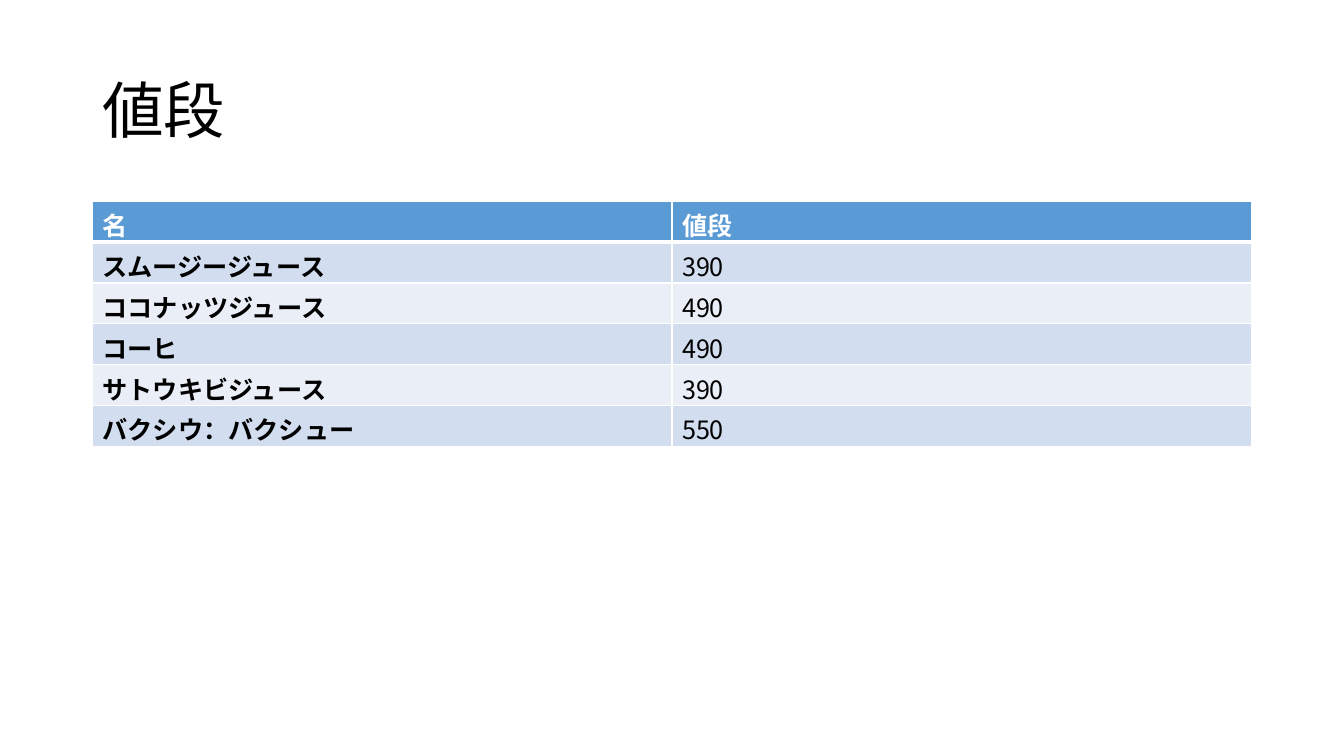
import pptx
import pptx.dml.color
import pptx.enum.text
import pptx.oxml
import pptx.oxml.ns
import pptx.util
from pptx.util import Pt

FONT = "Noto Sans CJK JP"
COLORS = {
    "black": "000000",
    "white": "FFFFFF",
    "header": "5B9BD5",
    "dark_band": "D2DEEF",
    "light_band": "EAEFF7",
}
PRICES = [
    ("名", "値段"),
    ("スムージージュース", "390"),
    ("ココナッツジュース", "490"),
    ("コーヒ", "490"),
    ("サトウキビジュース", "390"),
    ("バクシウ：バクシュー", "550"),
]
LEFT, WIDTH = 66, 828
ROW_HEIGHT = 29.2


def write(frame, text, size=18, color="black", bold=False, spacing=1.0):
    para = frame.paragraphs[0]
    para.line_spacing = spacing
    span = para.add_run()
    span.text = text
    span.font.size = Pt(size)
    span.font.bold = bold
    span.font.name = FONT
    span.font.color.rgb = pptx.dml.color.RGBColor.from_string(COLORS[color])
    # Japanese text takes the East Asian typeface
    east_asian = pptx.oxml.parse_xml(
        f'<a:ea {pptx.oxml.ns.nsdecls("a")} typeface="{FONT}"/>')
    span.font._element.append(east_asian)


def set_borders(cell, widths):
    properties = cell._tc.get_or_add_tcPr()
    for position, (side, width) in enumerate(widths.items()):
        line = pptx.oxml.parse_xml(
            f'<a:ln{side} {pptx.oxml.ns.nsdecls("a")} w="{Pt(width)}">'
            f'<a:solidFill><a:srgbClr val="{COLORS["white"]}"/></a:solidFill>'
            f'</a:ln{side}>')
        properties.insert(position, line)


deck = pptx.Presentation()
deck.slide_width, deck.slide_height = Pt(960), Pt(540)
slide = deck.slides.add_slide(deck.slide_layouts[6])

# Title
box = slide.shapes.add_textbox(Pt(LEFT), Pt(28.75), Pt(WIDTH), Pt(104.4))
box.text_frame.word_wrap = True
box.text_frame.vertical_anchor = pptx.enum.text.MSO_ANCHOR.MIDDLE
write(box.text_frame, "値段", size=44, spacing=0.9)

# Price table
table = slide.shapes.add_table(
    len(PRICES), 2, Pt(LEFT), Pt(143.75), Pt(WIDTH),
    Pt(ROW_HEIGHT * len(PRICES))).table
table.first_row = False
table.horz_banding = False
for column in table.columns:
    column.width = Pt(WIDTH / 2)

for r, texts in enumerate(PRICES):
    table.rows[r].height = Pt(ROW_HEIGHT)
    header = r == 0
    fill = "header" if header else ("light_band", "dark_band")[r % 2]
    # The rule under the header is thicker than the others
    widths = {"L": 1, "R": 1, "T": 3 if r == 1 else 1, "B": 3 if header else 1}
    for c, text in enumerate(texts):
        cell = table.cell(r, c)
        cell.fill.solid()
        cell.fill.fore_color.rgb = pptx.dml.color.RGBColor.from_string(COLORS[fill])
        set_borders(cell, widths)
        write(cell.text_frame, text, color="white" if header else "black",
              bold=header or c == 0)

deck.save("out.pptx")
